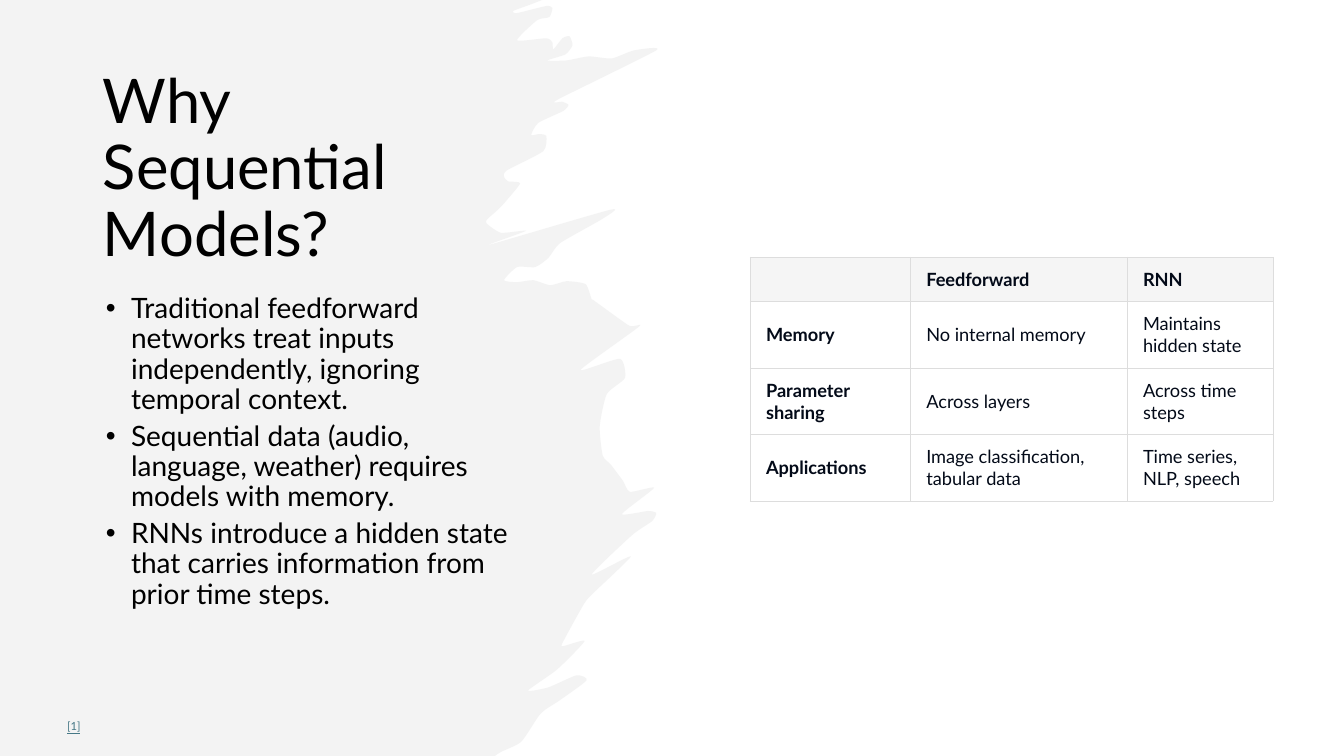
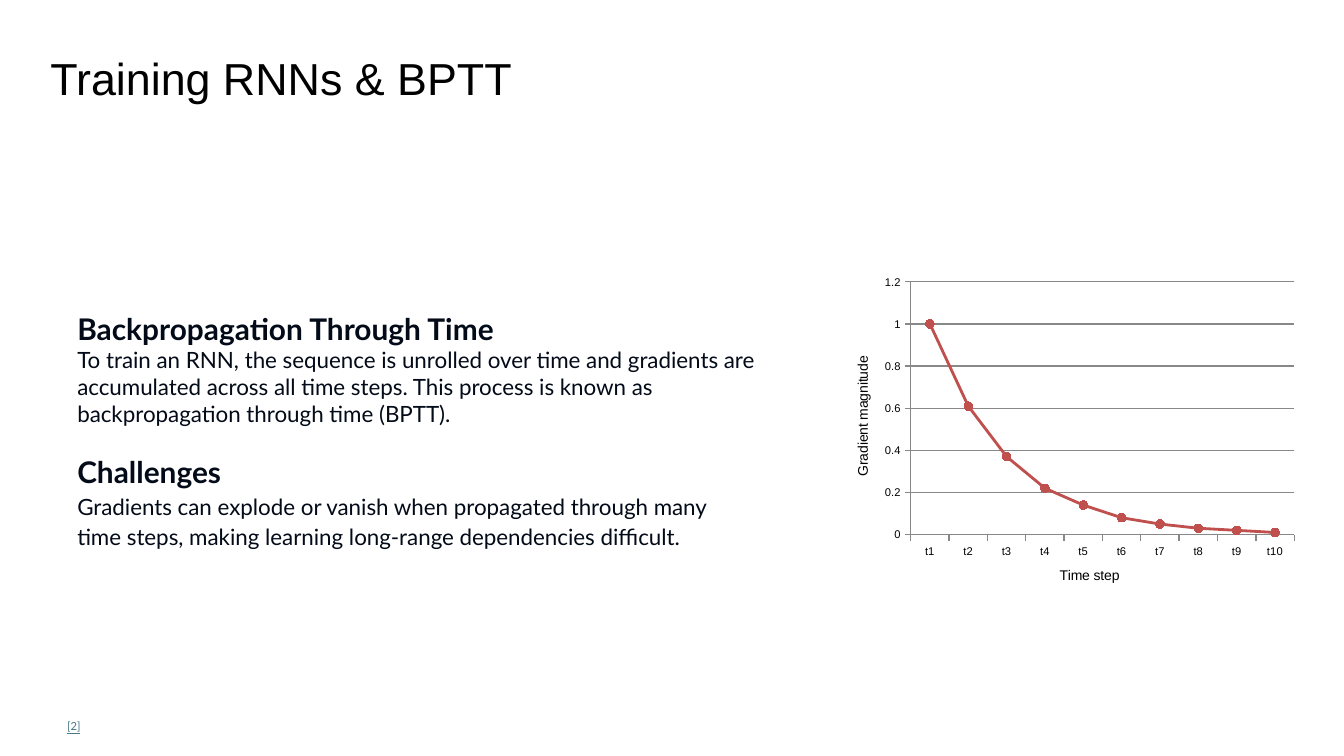
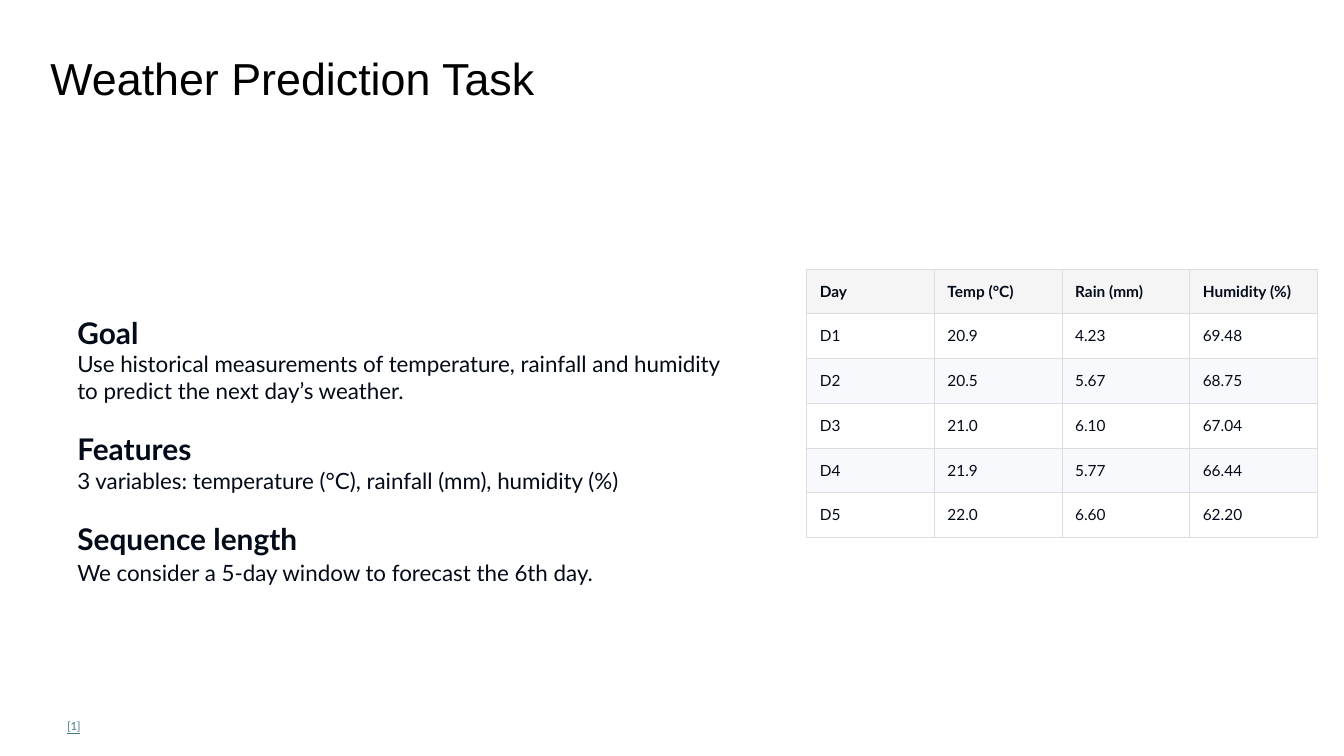
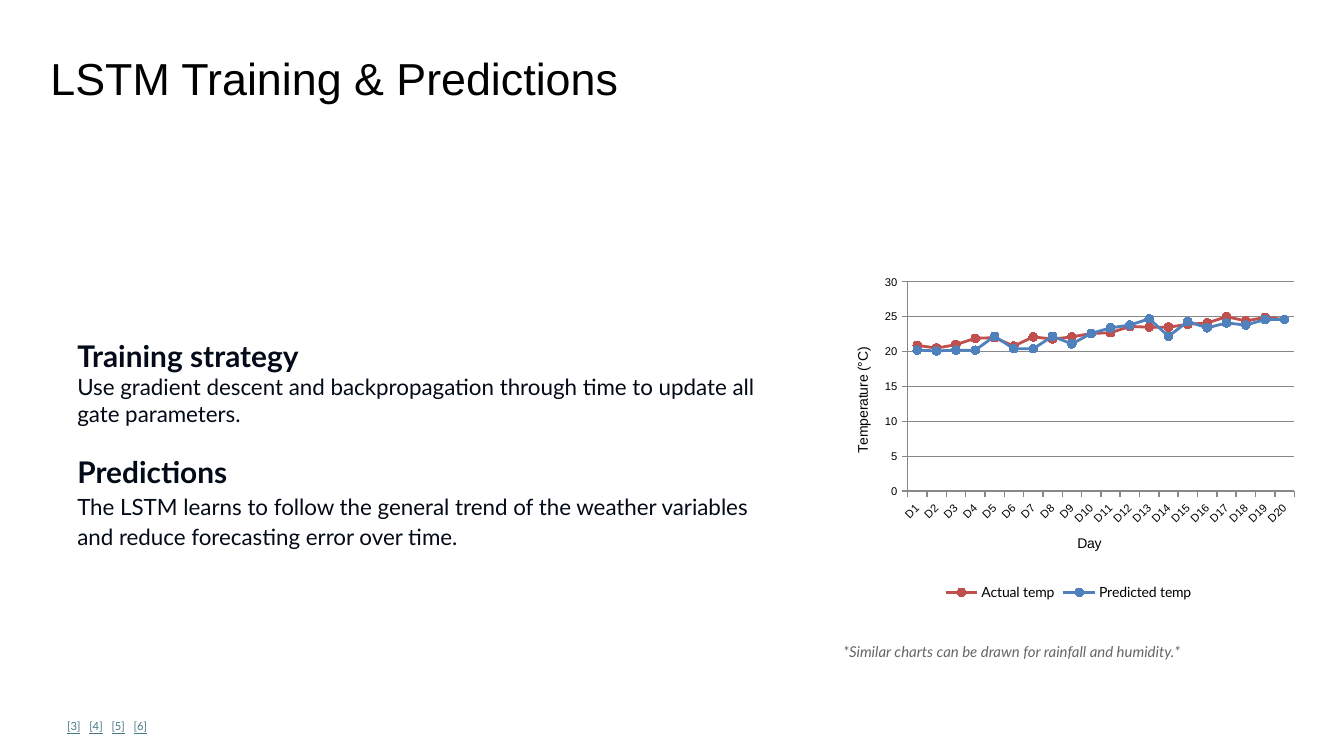
from itertools import chain

from lxml import etree
from pptx import Presentation
from pptx import util as u
from pptx.chart import data as cd
from pptx.dml.color import RGBColor
from pptx.enum import chart as ch, text as tx
from pptx.oxml.ns import qn


def grid(*units):
    """Lengths in inches from units of a fifteenth of an inch."""
    return tuple(n / 15 for n in units)


# Shared look
SANS, LATO = "Arial", "Lato"
BLACK, INK, LINK, NOTE = "000000", "030A18", "467886", "666666"
HEAD, BAND, WHITE, RULE = "F5F5F5", "F7F9FC", "FFFFFF", "DDDDDD"
AXIS, RED, BLUE, BRUSH = "888888", "C0504D", "4F81BD", "E8E8E8"
PAGE = grid(200, 112.5)
TOP = grid(6, 6, 188, 11)
FOOT = grid(10, 105.5, 180, 5)
PLOT = grid(124, 40, 70, 50)
MID = tx.MSO_ANCHOR.MIDDLE

# Right edge of the brush stroke, from bottom to top
EDGE = [
    (4.91, 7.5), (4.97, 7.46), (5.17, 7.36), (5.34, 7.11), (5.41, 7.04),
    (5.55, 6.95), (5.82, 6.75), (5.72, 6.7), (5.44, 6.82), (5.24, 6.85),
    (5.53, 6.64), (5.8, 6.36), (5.59, 6.41), (5.58, 6.38), (5.76, 6.05),
    (5.85, 5.92), (6.26, 5.52), (5.87, 5.7), (6.27, 5.31), (6.47, 5.17),
    (6.51, 5.09), (6.43, 5.07), (6.17, 5.1), (6.49, 4.84), (6.25, 4.88),
    (6.18, 4.77), (6.06, 4.61), (5.98, 4.52), (5.95, 4.23), (6.02, 3.91),
    (6.2, 3.75), (6.15, 3.56), (5.76, 3.67), (6.34, 3.24), (6.24, 3.23),
    (5.89, 2.98), (5.87, 2.97), (5.81, 2.82), (5.62, 2.79), (5.46, 2.83),
    (5.29, 2.78), (5.13, 2.8), (5, 2.78), (5.13, 2.65), (5.31, 2.65),
    (5.44, 2.56), (5.56, 2.41), (5.98, 2.17), (6.06, 2.08), (4.85, 2.43),
    (5.22, 2.29), (4.97, 2.31), (4.83, 2.22), (4.83, 2.18), (4.93, 2.09),
    (4.99, 2.03), (5.16, 1.82), (5.04, 1.8), (5, 1.75), (5.03, 1.69),
    (5.39, 1.5), (5.42, 1.35), (5.35, 1.33), (5.27, 1.34), (5.34, 1.22),
    (5.59, 1.1), (5.64, 1.04), (5.58, 1.01), (5.53, 0.99), (6.51, 0.5),
    (6.29, 0.5), (6.07, 0.58), (5.84, 0.56), (5.62, 0.6), (5.43, 0.6),
    (5.61, 0.54), (5.68, 0.45), (5.65, 0.36), (5.58, 0.38), (5.49, 0.49),
    (5.48, 0.42), (5.42, 0.38), (5.13, 0.4), (5.33, 0.2), (5.45, 0.17),
    (5.48, 0.08), (5.42, 0.06), (5.13, 0.13), (5.09, 0.11), (5.25, 0.05),
    (5.38, 0),
]


def hue(code):
    return RGBColor.from_string(code)


def inch(box):
    return [u.Inches(v) for v in box]


def sub(node, tag, **attrs):
    return etree.SubElement(node, qn(tag), attrs)


def style(font, size, face, code, bold=False):
    font.size, font.name, font.bold = u.Pt(size), face, bold
    font.color.rgb = hue(code)


def write(para, words, *look, **more):
    run = para.add_run()
    run.text = words
    style(run.font, *look, **more)
    return run


def place(shape, box, anchor=MID):
    """Set a text shape in its box and return its frame."""
    shape.left, shape.top, shape.width, shape.height = inch(box)
    frame = shape.text_frame
    frame.word_wrap, frame.auto_size = True, tx.MSO_AUTO_SIZE.NONE
    frame.vertical_anchor = anchor
    return frame


def lines(frame, count):
    """Give count plain, left-aligned paragraphs."""
    for _ in range(count - 1):
        frame.add_paragraph()
    for para in frame.paragraphs:
        para.alignment = tx.PP_ALIGN.LEFT
        para.space_before = para.space_after = u.Pt(0)
    return frame.paragraphs


def mark(para, char=None, left=0, hang=0):
    """Set the bullet and indents of a list paragraph."""
    props = para._p.get_or_add_pPr()
    props.set("marL", str(u.Inches(left)))
    props.set("indent", str(u.Inches(hang)))
    if char:
        sub(props, "a:buFont", typeface=SANS)
        sub(props, "a:buChar", char=char)
    else:
        sub(props, "a:buNone")


def title(slide, words, box=TOP, size=32, face=SANS):
    para = lines(place(slide.shapes.title, box), 1)[0]
    write(para, words, size, face, BLACK)
    return para


def cite(slide, *refs, box=FOOT):
    """Row of source marks at the foot, spaced by tab stops."""
    frame = place(slide.shapes.add_textbox(*inch(box)), box)
    frame.margin_left = frame.margin_right = 0
    frame.margin_top = frame.margin_bottom = 0
    para = lines(frame, 1)[0]
    if len(refs) > 1:
        tabs = sub(para._p.get_or_add_pPr(), "a:tabLst")
        for i in range(1, len(refs)):
            sub(tabs, "a:tab", pos=str(u.Inches(0.22 * i)), algn="l")
    for i, ref in enumerate(refs):
        if i:
            write(para, "\t", 8, LATO, BLACK)
        write(para, ref, 8, LATO, LINK).font.underline = True


def topics(slide, box, pairs):
    """Headings, each with a short text below."""
    paras = lines(place(slide.placeholders[1], box), 2 * len(pairs))
    for i, (para, words) in enumerate(zip(paras, chain(*pairs))):
        mark(para)
        para.line_spacing = 1.0
        if i % 2:
            write(para, words, 16, LATO, INK)
        else:
            write(para, words, 21.33, LATO, INK, bold=True)
            if i:
                para.space_before = u.Pt(19.2)
    paras[-1].line_spacing = u.Pt(21.33)


def bullets(slide, box, items):
    frame = place(slide.placeholders[1], box, tx.MSO_ANCHOR.TOP)
    for para, words in zip(lines(frame, len(items)), items):
        mark(para, "•", 0.28, -0.25)
        para.line_spacing, para.space_after = 0.9, u.Pt(4.8)
        write(para, words, 20, LATO, BLACK)


def bend(steps, pts, pull=0.1):
    """Turn straight steps through pts into gentle curves."""
    ends = [pts[0], *pts, pts[-1]]
    for step, a, b, c, d in zip(steps, ends, ends[1:], ends[2:], ends[3:]):
        first = [q + pull * (r - p) for p, q, r in zip(a, b, c)]
        last = [r - pull * (s - q) for q, r, s in zip(b, c, d)]
        curve = etree.Element(qn("a:cubicBezTo"))
        for x, y in (first, last, c):
            sub(curve, "a:pt", x=str(u.Inches(x)), y=str(u.Inches(y)))
        step.getparent().replace(step, curve)


def brush(slide, left=0, top=0):
    """Half-clear paint stroke behind the text."""
    pen = slide.shapes.build_freeform(u.Inches(left), u.Inches(top))
    corner = (0, PAGE[1])
    pen.add_line_segments([inch((left + x, top + y)) for x, y in (corner, *EDGE)])
    shape = pen.convert_to_shape()
    shape.shadow.inherit = False
    shape.fill.solid()
    shape.fill.fore_color.rgb = hue(BRUSH)
    shape.line.fill.background()
    props = shape._element.spPr
    bend(props.findall(".//" + qn("a:lnTo"))[2:], EDGE)
    sub(props.find(".//" + qn("a:srgbClr")), "a:alpha", val="50000")
    slide.shapes._spTree.insert(2, shape._element)


def fill(cell, code):
    """Thin border on all sides, then a solid fill."""
    props = cell._tc.get_or_add_tcPr()
    for side in "LRTB":
        line = sub(props, "a:ln" + side, w=str(u.Pt(0.3)))
        sub(sub(line, "a:solidFill"), "a:srgbClr", val=RULE)
    cell.fill.solid()
    cell.fill.fore_color.rgb = hue(code)


def table(slide, box, rows, cols, highs, size, pad, lead=False, band=WHITE):
    """Table with a grey head row; lead makes the first column bold."""
    body = slide.shapes.add_table(len(rows), len(cols), *inch(box)).table
    body.horz_banding = False
    for col, wide in zip(body.columns, cols):
        col.width = u.Inches(wide)
    for row, high in zip(body.rows, highs):
        row.height = u.Inches(high)
    for i, row in enumerate(rows):
        for j, words in enumerate(row):
            cell = body.cell(i, j)
            fill(cell, HEAD if i == 0 else WHITE if i % 2 else band)
            if not words:
                continue
            cell.vertical_anchor = MID
            cell.margin_left = cell.margin_right = u.Inches(pad[0])
            cell.margin_top = cell.margin_bottom = u.Inches(pad[1])
            bold = i == 0 or (lead and j == 0)
            write(cell.text_frame.paragraphs[0], words, size, LATO, INK, bold=bold)


def rule(line, code, wide):
    line.color.rgb, line.width = hue(code), u.Pt(wide)


def axis(part, name):
    part.has_title = True
    write(part.axis_title.text_frame.paragraphs[0], name, 10, SANS, BLACK)
    style(part.tick_labels.font, 8, SANS, BLACK)
    part.major_tick_mark = ch.XL_TICK_MARK.OUTSIDE
    part.minor_tick_mark = ch.XL_TICK_MARK.NONE
    rule(part.format.line, AXIS, 1)


def plot(slide, box, cats, sets, names, peak, step):
    """Line chart with round markers; a legend if it has two lines."""
    data = cd.CategoryChartData()
    data.categories = cats
    for name, vals in sets:
        data.add_series(name, vals)
    kind = ch.XL_CHART_TYPE.LINE_MARKERS
    chart = slide.shapes.add_chart(kind, *inch(box), data).chart
    style(chart.font, 10, LATO, BLACK)
    chart.has_title = False
    chart.has_legend = len(sets) > 1
    if chart.has_legend:
        chart.legend.position = ch.XL_LEGEND_POSITION.BOTTOM
        chart.legend.include_in_layout = False
    for part, name in zip((chart.category_axis, chart.value_axis), names):
        axis(part, name)
    chart.category_axis.tick_label_position = ch.XL_TICK_LABEL_POSITION.LOW
    scale = chart.value_axis
    scale.minimum_scale, scale.maximum_scale, scale.major_unit = 0, peak, step
    scale.has_major_gridlines = True
    rule(scale.major_gridlines.format.line, AXIS, 1)
    chart.plots[0].vary_by_categories = False
    for line, code in zip(chart.plots[0].series, (RED, BLUE)):
        line.smooth = False
        rule(line.format.line, code, 2)
        line.marker.style, line.marker.size = ch.XL_MARKER_STYLE.CIRCLE, 6
        line.marker.format.fill.solid()
        line.marker.format.fill.fore_color.rgb = hue(code)
        rule(line.marker.format.line, code, 0.75)


def note(slide, box, words):
    frame = place(slide.shapes.add_textbox(*inch(box)), box)
    write(lines(frame, 1)[0], words, 10.67, LATO, NOTE).font.italic = True


def why(slide):
    brush(slide)
    para = title(slide, "Why Sequential Models?", (0.92, 0.7, 4.25, 1.97), 44, LATO)
    para.line_spacing, para.space_after = 0.9, u.Pt(6)
    bullets(slide, (0.92, 2.87, 4.25, 3.89), [
        "Traditional feedforward networks treat inputs independently, ignoring temporal context.",
        "Sequential data (audio, language, weather) requires models with memory.",
        "RNNs introduce a hidden state that carries information from prior time steps.",
    ])
    cite(slide, "[1]")
    table(slide, (7.44, 2.55, 5.19, 2.42), [
        ("", "Feedforward", "RNN"),
        ("Memory", "No internal memory", "Maintains hidden state"),
        ("Parameter sharing", "Across layers", "Across time steps"),
        ("Applications", "Image classification, tabular data", "Time series, NLP, speech"),
    ], (1.59, 2.15, 1.45), [0.44] + [0.66] * 3, 13, (0.16, 0.08), lead=True)


def train(slide):
    title(slide, "Training RNNs & BPTT")
    topics(slide, grid(10, 28, 104, 72), [
        ("Backpropagation Through Time",
         "To train an RNN, the sequence is unrolled over time and gradients are accumulated "
         "across all time steps. This process is known as backpropagation through time (BPTT)."),
        ("Challenges",
         "Gradients can explode or vanish when propagated through many time steps, "
         "making learning long‑range dependencies difficult."),
    ])
    vals = (1, 0.61, 0.37, 0.22, 0.14, 0.08, 0.05, 0.03, 0.02, 0.01)
    plot(slide, PLOT, [f"t{i}" for i in range(1, 11)], [("Series 1", vals)],
         ("Time step", "Gradient magnitude"), 1.2, 0.2)
    cite(slide, "[2]")


def task(slide):
    title(slide, "Weather Prediction Task")
    topics(slide, grid(10, 32, 102, 70), [
        ("Goal",
         "Use historical measurements of temperature, rainfall and humidity "
         "to predict the next day’s weather."),
        ("Features", "3 variables: temperature (°C), rainfall (mm), humidity (%)"),
        ("Sequence length", "We consider a 5‑day window to forecast the 6th day."),
    ])
    rows = [
        ("Day", "Temp (°C)", "Rain (mm)", "Humidity (%)"),
        ("D1", "20.9", "4.23", "69.48"),
        ("D2", "20.5", "5.67", "68.75"),
        ("D3", "21.0", "6.10", "67.04"),
        ("D4", "21.9", "5.77", "66.44"),
        ("D5", "22.0", "6.60", "62.20"),
    ]
    box = grid(120, 40, 76, 40)
    table(slide, box, rows, [box[2] / 4] * 4, [box[3] / 6] * 6, 11,
          grid(2, 1), band=BAND)
    cite(slide, "[1]")


def learn(slide):
    title(slide, "LSTM Training & Predictions")
    topics(slide, grid(10, 30, 106, 72), [
        ("Training strategy",
         "Use gradient descent and backpropagation through time to update all gate parameters."),
        ("Predictions",
         "The LSTM learns to follow the general trend of the weather variables "
         "and reduce forecasting error over time."),
    ])
    real = (20.9, 20.5, 21, 21.9, 22, 20.8, 22.1, 21.8, 22.1, 22.6,
            22.7, 23.6, 23.5, 23.5, 23.9, 24.1, 25, 24.4, 24.9, 24.6)
    guess = (20.2, 20.1, 20.2, 20.2, 22.2, 20.4, 20.4, 22.2, 21.1, 22.6,
             23.4, 23.8, 24.7, 22.2, 24.3, 23.4, 24.1, 23.8, 24.6, 24.6)
    plot(slide, PLOT, [f"D{i}" for i in range(1, 21)],
         [("Actual temp", real), ("Predicted temp", guess)],
         ("Day", "Temperature (°C)"), 30, 5)
    note(slide, grid(124, 92, 70, 10),
         "*Similar charts can be drawn for rainfall and humidity.*")
    cite(slide, "[3]", "[4]", "[5]", "[6]")


def main():
    deck = Presentation()
    deck.slide_width, deck.slide_height = inch(PAGE)
    for build in (why, train, task, learn):
        build(deck.slides.add_slide(deck.slide_layouts[1]))
    deck.save("out.pptx")


if __name__ == "__main__":
    main()
